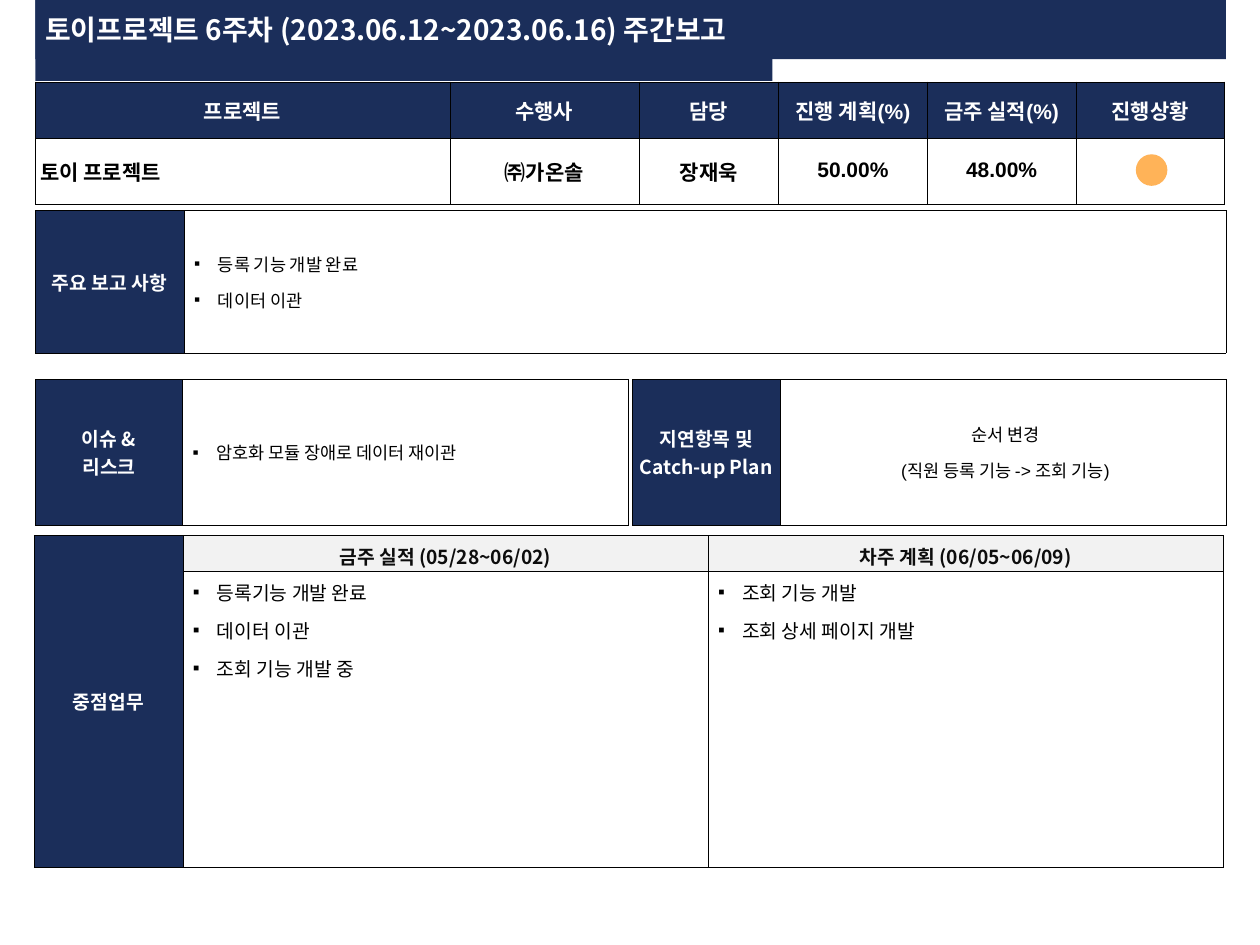
from dataclasses import dataclass
from lxml.etree import SubElement
from pptx import Presentation
from pptx.dml.color import RGBColor
from pptx.enum.shapes import MSO_SHAPE
from pptx.enum.text import MSO_ANCHOR, MSO_AUTO_SIZE, PP_ALIGN
from pptx.oxml.ns import qn
from pptx.util import Inches, Pt


@dataclass
class Theme:
    """Colours, fonts and type sizes of the report."""
    navy: str = "1B2E5A"
    white: str = "FFFFFF"
    black: str = "000000"
    ink: str = "0D0D0D"
    grey: str = "F2F2F2"
    amber: str = "FFB358"
    latin: str = "Arial"
    korean: str = "Noto Sans CJK KR"
    title: int = 16
    head: int = 12
    label: int = 11
    body: int = 10


T = Theme()
CENTER, LEFT = PP_ALIGN.CENTER, PP_ALIGN.LEFT

# Cell styles: what differs from a bold, centred cell
STYLES = {
    "head": dict(size=T.head, color=T.white, fill=T.navy, before=2.4),
    "name": dict(size=T.head, font=T.korean, align=LEFT, before=2.4),
    "firm": dict(size=T.head, font=T.korean, before=2.4),
    "owner": dict(size=T.head, before=6),
    "rate": dict(size=T.head, before=2.4, spacing=0.9),
    "label": dict(size=T.label, font=T.korean, color=T.white, fill=T.navy),
    "period": dict(size=T.label, font=T.korean, color=T.ink, fill=T.grey, before=2.2),
    "list": dict(size=T.body, bold=False, align=LEFT, after=6, bullet=True, left=0.08),
    "tasks": dict(size=T.label, bold=False, align=LEFT, after=6, bullet=True,
                  left=0.08, anchor=MSO_ANCHOR.TOP),
    "note": dict(size=T.body, bold=False, after=6, left=0.08),
}


def style_text(tf, size, font=T.latin, color=T.black, bold=True, align=CENTER,
               before=0, after=0, spacing=None, bullet=False):
    """Format every paragraph and run of a text frame."""
    for p in tf.paragraphs:
        p.alignment = align
        p.space_before, p.space_after = Pt(before), Pt(after)
        if spacing:
            p.line_spacing = spacing
        if bullet:
            pPr = p._p.get_or_add_pPr()
            pPr.set("marL", str(Inches(0.19)))
            pPr.set("indent", str(-Inches(0.19)))
            SubElement(pPr, qn("a:buFont"), typeface=T.latin)
            SubElement(pPr, qn("a:buChar"), char="▪")
        for r in p.runs:
            r.font.size, r.font.bold, r.font.name = Pt(size), bold, font
            r.font.color.rgb = RGBColor.from_string(color)
            SubElement(r.font._element, qn("a:ea"), typeface=T.korean)


def add_grid(s, left, top, widths, heights, rows, margin=0.05):
    """Add a bordered table whose cells are (style, text) pairs."""
    table = s.shapes.add_table(len(heights), len(widths), Inches(left), Inches(top),
                               Inches(sum(widths)), Inches(sum(heights))).table
    table.first_row = table.horz_banding = False
    for column, width in zip(table.columns, widths):
        column.width = Inches(width)
    for row, height in zip(table.rows, heights):
        row.height = Inches(height)
    for i, row in enumerate(rows):
        for j, (name, text) in enumerate(row):
            cell = table.cell(i, j)
            style = dict(STYLES[name])
            fill = style.pop("fill", None)
            cell.margin_left = Inches(style.pop("left", 0.04))
            cell.margin_right = Inches(0.04)
            cell.margin_top = cell.margin_bottom = Inches(margin)
            cell.vertical_anchor = style.pop("anchor", MSO_ANCHOR.MIDDLE)
            cell.text_frame.text = text
            style_text(cell.text_frame, **style)
            tcPr = cell._tc.get_or_add_tcPr()
            for side in ("lnL", "lnR", "lnT", "lnB"):
                ln = SubElement(tcPr, qn(f"a:{side}"), w=str(Pt(0.25)))
                SubElement(SubElement(ln, qn("a:solidFill")), qn("a:srgbClr"), val=T.black)
            if fill:
                cell.fill.solid()
                cell.fill.fore_color.rgb = RGBColor.from_string(fill)
            else:
                cell.fill.background()
    return table


prs = Presentation()
prs.slide_width, prs.slide_height = Inches(10), Inches(7.5)
s = prs.slides.add_slide(prs.slide_layouts[5])

# Title on its band
title = s.shapes.title
title.left, title.top = Inches(0.28), Inches(0.06)
title.width, title.height = Inches(5.85), Inches(0.35)
tf = title.text_frame
tf.text = "토이프로젝트 6주차 (2023.06.12~2023.06.16) 주간보고"
tf.word_wrap = False
tf.auto_size = MSO_AUTO_SIZE.SHAPE_TO_FIT_TEXT
tf.vertical_anchor = MSO_ANCHOR.MIDDLE
tf.margin_left = tf.margin_right = Inches(0.08)
tf.margin_top = tf.margin_bottom = Inches(0.04)
style_text(tf, T.title, font=T.korean, color=T.white, align=LEFT)

band = s.shapes.add_shape(MSO_SHAPE.RECTANGLE, Inches(0.28), 0, Inches(9.45), Inches(0.47))
band.shadow.inherit = False
band.line.fill.background()
title.element.addprevious(band.element)
for shape in (band, title):
    shape.fill.solid()
    shape.fill.fore_color.rgb = RGBColor.from_string(T.navy)

# Project summary
headings = ["프로젝트", "수행사", "담당", "진행 계획(%)", "금주 실적(%)", "진행상황"]
add_grid(s, 0.28, 0.65, [3.29, 1.5, 1.11, 1.18, 1.18, 1.18], [0.45, 0.52], [
    [("head", text) for text in headings],
    [("name", "토이 프로젝트"), ("firm", "㈜가온솔"), ("owner", "장재욱"),
     ("rate", "50.00%"), ("rate", "48.00%"), ("rate", "")],
], margin=0.04)

status = s.shapes.add_shape(MSO_SHAPE.OVAL, Inches(9.02), Inches(1.23), Inches(0.24), Inches(0.24))
status.shadow.inherit = False
status.fill.solid()
status.fill.fore_color.rgb = status.line.color.rgb = RGBColor.from_string(T.amber)
status.line.width = Pt(0.75)

# Key work of this week and next week
work = add_grid(s, 0.27, 4.25, [1.18, 4.17, 4.09], [0.26, 2.35], [
    [("label", "중점업무"), ("period", "금주 실적 (05/28~06/02)"),
     ("period", "차주 계획 (06/05~06/09)")],
    [("label", ""), ("tasks", "등록기능 개발 완료\n데이터 이관\n조회 기능 개발 중"),
     ("tasks", "조회 기능 개발\n조회 상세 페이지 개발")],
])
work.cell(0, 0).merge(work.cell(1, 0))

# Label and content panels
panels = [
    (0.28, 1.67, [1.18, 8.27], 1.13, "주요 보고 사항", "list", "등록 기능 개발 완료\n데이터 이관"),
    (0.28, 3.01, [1.17, 3.54], 1.16, "이슈 &\n리스크", "list", "암호화 모듈 장애로 데이터 재이관"),
    (5.02, 3.01, [1.17, 3.54], 1.16, "지연항목 및\nCatch-up Plan", "note",
     "순서 변경\n(직원 등록 기능 -> 조회 기능)"),
]
for left, top, widths, height, label, style, text in panels:
    add_grid(s, left, top, widths, [height], [[("label", label), (style, text)]])

prs.save("out.pptx")
